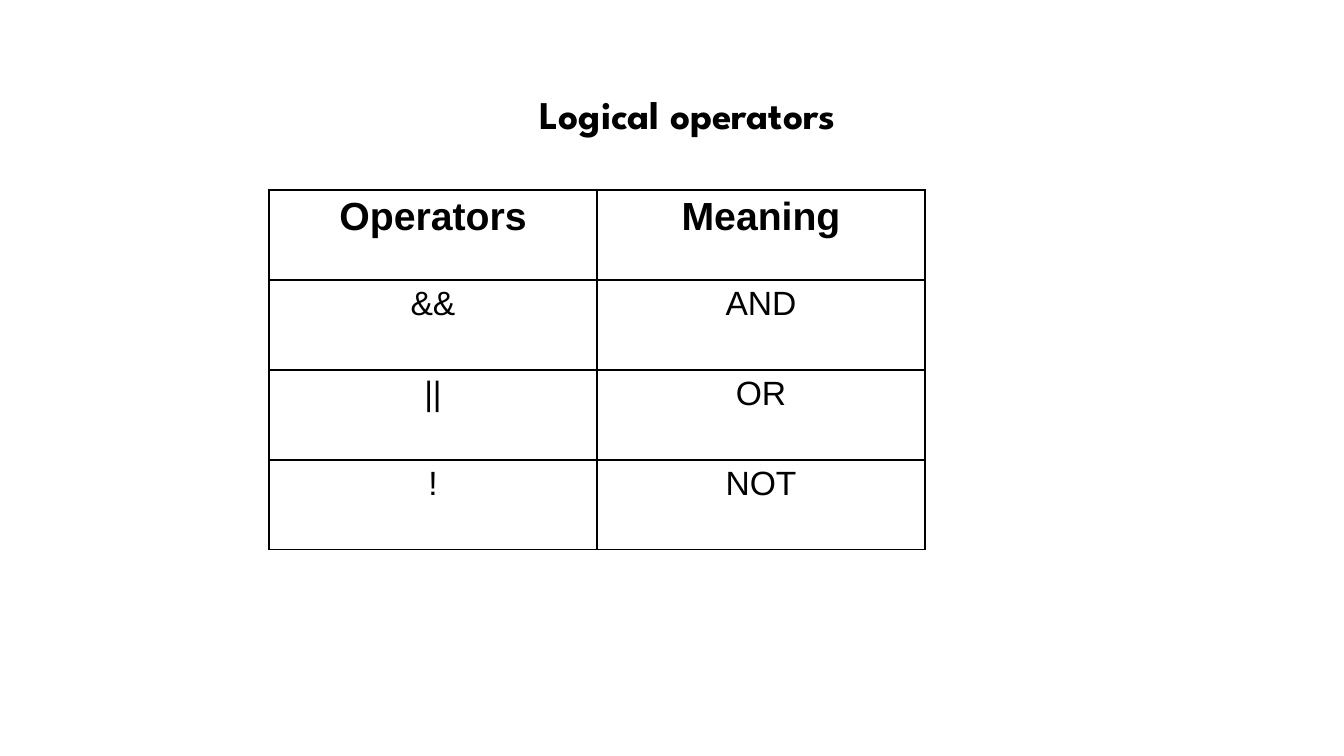
"""Build a slide with a table of logical operators."""
import pptx
import pptx.util
import pptx.dml.color
import pptx.enum.text
import pptx.oxml
import pptx.oxml.ns

PIXEL = 914400 / 100.8
BLACK = "000000"


def px(length):
    return pptx.util.Emu(round(length * PIXEL))


def write(frame, text, *, size, font="Arial", bold=False, color=BLACK, spacing=1.0):
    paragraph = frame.paragraphs[0]
    paragraph.alignment = pptx.enum.text.PP_ALIGN.CENTER
    paragraph.line_spacing = spacing
    run = paragraph.add_run()
    run.text = text
    run.font.name = font
    run.font.size = pptx.util.Pt(size)
    run.font.bold = bold
    run.font.color.rgb = pptx.dml.color.RGBColor.from_string(color)


deck = pptx.Presentation()
deck.slide_width, deck.slide_height = px(1344), px(756)
slide = deck.slides.add_slide(deck.slide_layouts[5])

heading = slide.shapes.title
heading.left, heading.top, heading.width, heading.height = px(334), px(62), px(707), px(57)
heading.text_frame.word_wrap = True
heading.text_frame.vertical_anchor = pptx.enum.text.MSO_ANCHOR.TOP
heading.text_frame.auto_size = pptx.enum.text.MSO_AUTO_SIZE.SHAPE_TO_FIT_TEXT
write(heading.text_frame, "Logical operators", size=28, font="League Spartan", bold=True, spacing=1.5)

operators = [
    ("Operators", "Meaning"),
    ("&&", "AND"),
    ("||", "OR"),
    ("!", "NOT"),
]
column_width, row_height = 328, 90
grid = slide.shapes.add_table(
    len(operators), 2, px(269), px(190), px(2 * column_width), px(len(operators) * row_height)
).table

for row, entries in enumerate(operators):
    for column, entry in enumerate(entries):
        cell = grid.cell(row, column)
        header = row == 0
        write(cell.text_frame, entry, size=28 if header else 24, bold=header)
        properties = cell._tc.get_or_add_tcPr()
        for edge in ("lnL", "lnR", "lnT", "lnB"):
            properties.append(pptx.oxml.parse_xml(
                f'<a:{edge} {pptx.oxml.ns.nsdecls("a")} w="12700"><a:solidFill>'
                f'<a:srgbClr val="{BLACK}"/></a:solidFill></a:{edge}>'
            ))
        cell.fill.background()

deck.save("out.pptx")
